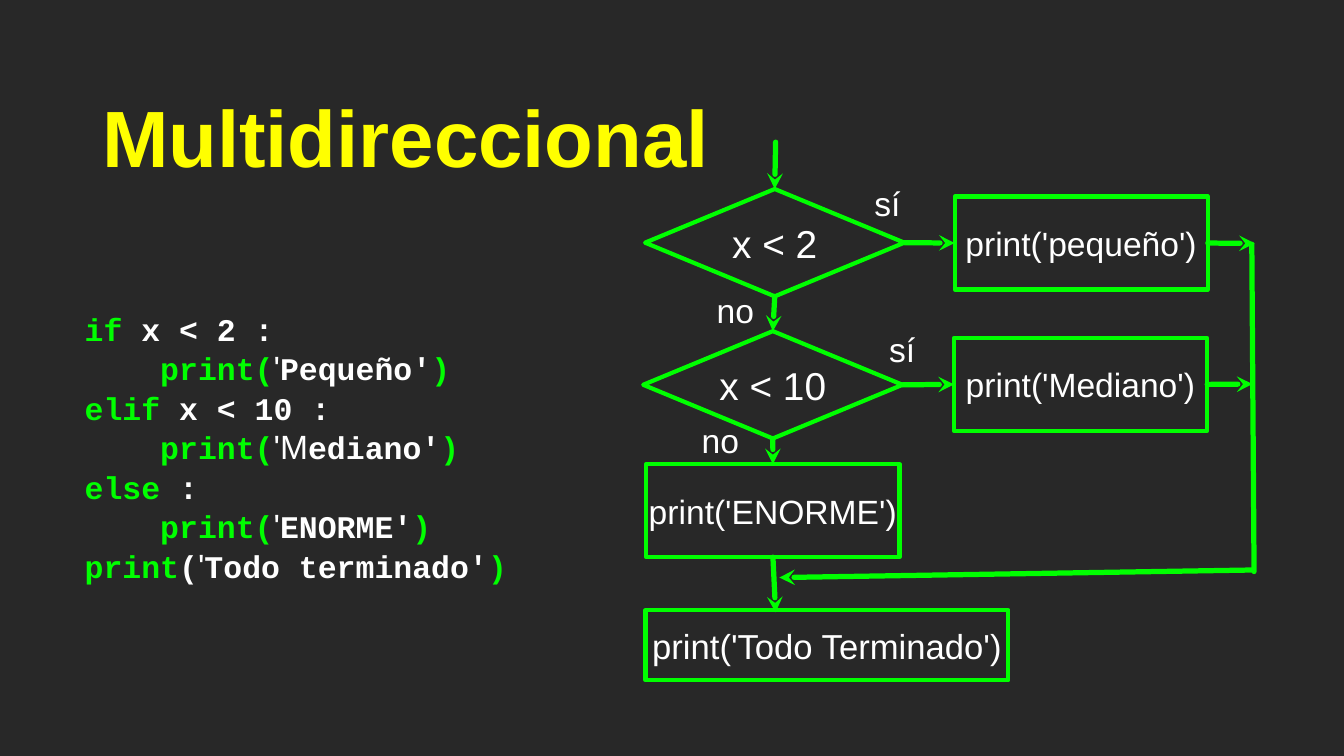
"""Build a slide that pairs a multi-way branch in Python with its flowchart."""
import dataclasses
import typing

import lxml.etree
import pptx
import pptx.dml.color
import pptx.enum.shapes
import pptx.enum.text
import pptx.oxml.ns
import pptx.util

Shape = pptx.enum.shapes.MSO_SHAPE
Align = pptx.enum.text.PP_ALIGN
TOP, LEFT, BOTTOM, RIGHT = range(4)


@dataclasses.dataclass(frozen=True)
class Theme:
    background: str = "282828"
    accent: str = "00FF00"
    text: str = "FFFFFF"
    title: str = "FFFF00"
    sans: str = "Arial"
    mono: str = "Courier New"
    title_size: float = 76
    question_size: float = 37
    final_size: float = 33
    body_size: float = 32
    code_size: float = 30
    code_pitch: float = 37.6
    code_indent: float = 72
    outline: float = 4
    arrow: float = 5


THEME = Theme()


class Area(typing.NamedTuple):
    """Left, top, width and height in percent of the slide's size."""
    left: float
    top: float
    width: float
    height: float


class Point(typing.NamedTuple):
    """Position in percent of the slide's size."""
    x: float
    y: float


class Site(typing.NamedTuple):
    """Side of a named flowchart step."""
    step: str
    side: int


class Step(typing.NamedTuple):
    kind: Shape
    area: Area
    text: str
    size: float


class Label(typing.NamedTuple):
    area: Area
    text: str


class Link(typing.NamedTuple):
    start: typing.Union[Site, Point]
    end: typing.Union[Site, Point]
    arrow: bool = True


class CodeLine(typing.NamedTuple):
    indented: bool
    spans: tuple


QUESTION = (19.29, 14.2)
ACTION = (18.84, 12.3)
WIDE = (27, 9.3)
LABEL_HEIGHT = 5.4

STEPS = {
    "under 2": Step(Shape.DIAMOND, Area(48, 25, *QUESTION), "x < 2", THEME.question_size),
    "under 10": Step(Shape.DIAMOND, Area(47.86, 43.8, *QUESTION), "x < 10", THEME.question_size),
    "small": Step(Shape.RECTANGLE, Area(71.03, 26, *ACTION), "print('pequeño')", THEME.body_size),
    "medium": Step(Shape.RECTANGLE, Area(70.98, 44.7, *ACTION), "print('Mediano')", THEME.body_size),
    "huge": Step(Shape.RECTANGLE, Area(48.09, 61.4, *ACTION), "print('ENORME')", THEME.body_size),
    "done": Step(Shape.RECTANGLE, Area(48.03, 80.7, *WIDE), "print('Todo Terminado')", THEME.final_size),
}
LABELS = (
    Label(Area(63.89, 24.1, 4.27, LABEL_HEIGHT), "sí"),
    Label(Area(53.26, 38.3, 2.92, LABEL_HEIGHT), "no"),
    Label(Area(64.74, 43.5, 4.78, LABEL_HEIGHT), "sí"),
    Label(Area(52.14, 55.5, 2.92, LABEL_HEIGHT), "no"),
)
LINKS = (
    Link(Point(57.71, 18.8), Site("under 2", TOP)),
    Link(Site("under 2", RIGHT), Site("small", LEFT)),
    Link(Site("under 2", BOTTOM), Site("under 10", TOP)),
    Link(Site("under 10", RIGHT), Site("medium", LEFT)),
    Link(Site("under 10", BOTTOM), Site("huge", TOP)),
    Link(Site("huge", BOTTOM), Point(57.71, 81)),
    Link(Site("small", RIGHT), Point(93.36, 32.2)),
    Link(Site("medium", RIGHT), Point(93.19, 50.8)),
    Link(Point(93.14, 32.3), Point(93.31, 75.6), arrow=False),
    Link(Point(93.19, 75.4), Point(57.99, 76.4)),
)


def call(quoted: str, rest: str) -> CodeLine:
    """Return an indented print call whose opening quote is set in the sans face."""
    return CodeLine(True, (("keyword", "print("), ("quote", quoted), ("code", rest), ("keyword", ")")))


CODE = (
    CodeLine(False, (("keyword", "if"), ("code", " x < 2 :"))),
    call("'", "Pequeño'"),
    CodeLine(False, (("keyword", "elif"), ("code", " x < 10 :"))),
    call("'M", "ediano'"),
    CodeLine(False, (("keyword", "else"), ("code", " :"))),
    call("'", "ENORME'"),
    CodeLine(False, (("keyword", "print"), ("code", "("), ("quote", "'"),
                     ("code", "Todo terminado'"), ("keyword", ")"))),
)
CODE_STYLES = {
    "keyword": (THEME.mono, THEME.code_size, THEME.accent, True),
    "code": (THEME.mono, THEME.code_size, THEME.text, True),
    "quote": (THEME.sans, THEME.body_size, THEME.text, False),
}


def apply(target: typing.Any, values: dict) -> None:
    """Set every named attribute on the target."""
    for name, value in values.items():
        setattr(target, name, value)


def rgb(code: str) -> pptx.dml.color.RGBColor:
    """Return a colour from its hexadecimal code."""
    return pptx.dml.color.RGBColor.from_string(code)


class FlowSlide:
    """Slide with a title, a code listing and a flowchart."""

    def __init__(self, deck: typing.Any) -> None:
        self.deck = deck
        self.page = deck.slides.add_slide(deck.slide_layouts[5])
        self.steps: dict = {}
        fill = self.page.background.fill
        fill.solid()
        fill.fore_color.rgb = rgb(THEME.background)

    def place(self, x: float, y: float) -> tuple:
        """Turn percentages into slide lengths."""
        return int(self.deck.slide_width * x / 100), int(self.deck.slide_height * y / 100)

    def bounds(self, area: Area) -> tuple:
        """Return the area's position and size as slide lengths."""
        return self.place(area.left, area.top) + self.place(area.width, area.height)

    def frame(self, box: typing.Any, margin: float = 0) -> typing.Any:
        """Prepare the text frame of a box."""
        sides = ("margin_left", "margin_top", "margin_right", "margin_bottom")
        apply(box.text_frame, {"word_wrap": True, "vertical_anchor": pptx.enum.text.MSO_ANCHOR.MIDDLE,
                               **dict.fromkeys(sides, pptx.util.Inches(margin))})
        return box.text_frame

    def span(self, para: typing.Any, text: str, name: str, size: float, color: str, bold: bool) -> None:
        """Add one formatted run."""
        span = para.add_run()
        span.text = text
        apply(span.font, {"name": name, "size": pptx.util.Pt(size), "bold": bold})
        span.font.color.rgb = rgb(color)

    def caption(self, box: typing.Any, text: str, size: float, color: str = THEME.text,
                bold: bool = False, margin: float = 0) -> None:
        """Write one centred line in a box."""
        para = self.frame(box, margin).paragraphs[0]
        para.alignment = Align.CENTER
        self.span(para, text, THEME.sans, size, color, bold)

    def title(self, text: str, area: Area) -> None:
        """Move and fill the title placeholder."""
        box = self.page.shapes.title
        apply(box, dict(zip(("left", "top", "width", "height"), self.bounds(area))))
        self.caption(box, text, THEME.title_size, THEME.title, True, 0.04)

    def code(self, lines: tuple, area: Area) -> None:
        """Write the code listing, set one line low in its box."""
        frame = self.frame(self.page.shapes.add_textbox(*self.bounds(area)))
        frame.margin_top = pptx.util.Pt(THEME.code_pitch)
        for number, line in enumerate(lines):
            para = frame.add_paragraph() if number else frame.paragraphs[0]
            apply(para, {"alignment": Align.LEFT, "line_spacing": pptx.util.Pt(THEME.code_pitch)})
            if line.indented:
                para._p.get_or_add_pPr().set("marL", str(pptx.util.Pt(THEME.code_indent)))
            for style, text in line.spans:
                self.span(para, text, *CODE_STYLES[style])

    def step(self, name: str, step: Step) -> None:
        """Draw one outlined flowchart step."""
        box = self.page.shapes.add_shape(step.kind, *self.bounds(step.area))
        box.shadow.inherit = False
        box.fill.background()
        box.line.color.rgb = rgb(THEME.accent)
        box.line.width = pptx.util.Pt(THEME.outline)
        self.caption(box, step.text, step.size)
        self.steps[name] = box

    def label(self, label: Label) -> None:
        """Write the answer beside a branch."""
        self.caption(self.page.shapes.add_textbox(*self.bounds(label.area)), label.text, THEME.body_size)

    def link(self, link: Link) -> None:
        """Draw a line, joined to each step it touches."""
        ends = [self.place(*end) if isinstance(end, Point) else (0, 0) for end in (link.start, link.end)]
        line = self.page.shapes.add_connector(pptx.enum.shapes.MSO_CONNECTOR.STRAIGHT, *ends[0], *ends[1])
        for end, join in ((link.start, line.begin_connect), (link.end, line.end_connect)):
            if isinstance(end, Site):
                join(self.steps[end.step], end.side)
        line.line.color.rgb = rgb(THEME.accent)
        line.line.width = pptx.util.Pt(THEME.arrow)
        qn = pptx.oxml.ns.qn
        stroke = line.line._get_or_add_ln()
        stroke.set("cap", "rnd")
        if link.arrow:
            lxml.etree.SubElement(stroke, qn("a:tailEnd"), type="stealth")
        lxml.etree.SubElement(line._element.spPr, qn("a:effectLst"))


def main() -> None:
    """Build and save the deck."""
    deck = pptx.Presentation()
    apply(deck, {"slide_width": pptx.util.Inches(17.78), "slide_height": pptx.util.Inches(10)})
    slide = FlowSlide(deck)
    slide.title("Multidireccional", Area(7.09, 8.2, 46.18, 19.6))
    slide.code(CODE, Area(6.3, 32.1, 34.53, 48.8))
    for name, step in STEPS.items():
        slide.step(name, step)
    for label in LABELS:
        slide.label(label)
    for link in LINKS:
        slide.link(link)
    deck.save("out.pptx")


if __name__ == "__main__":
    main()
